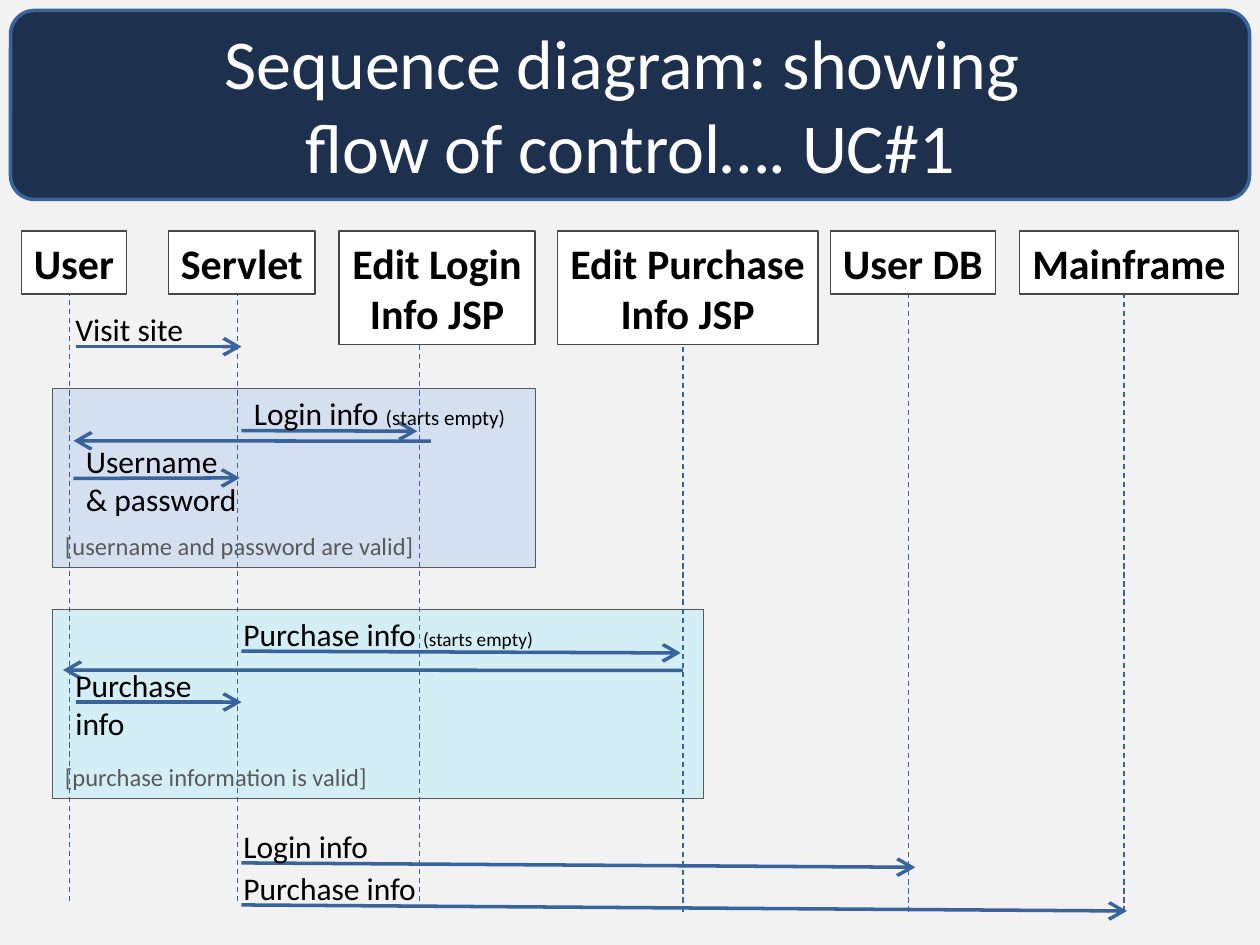
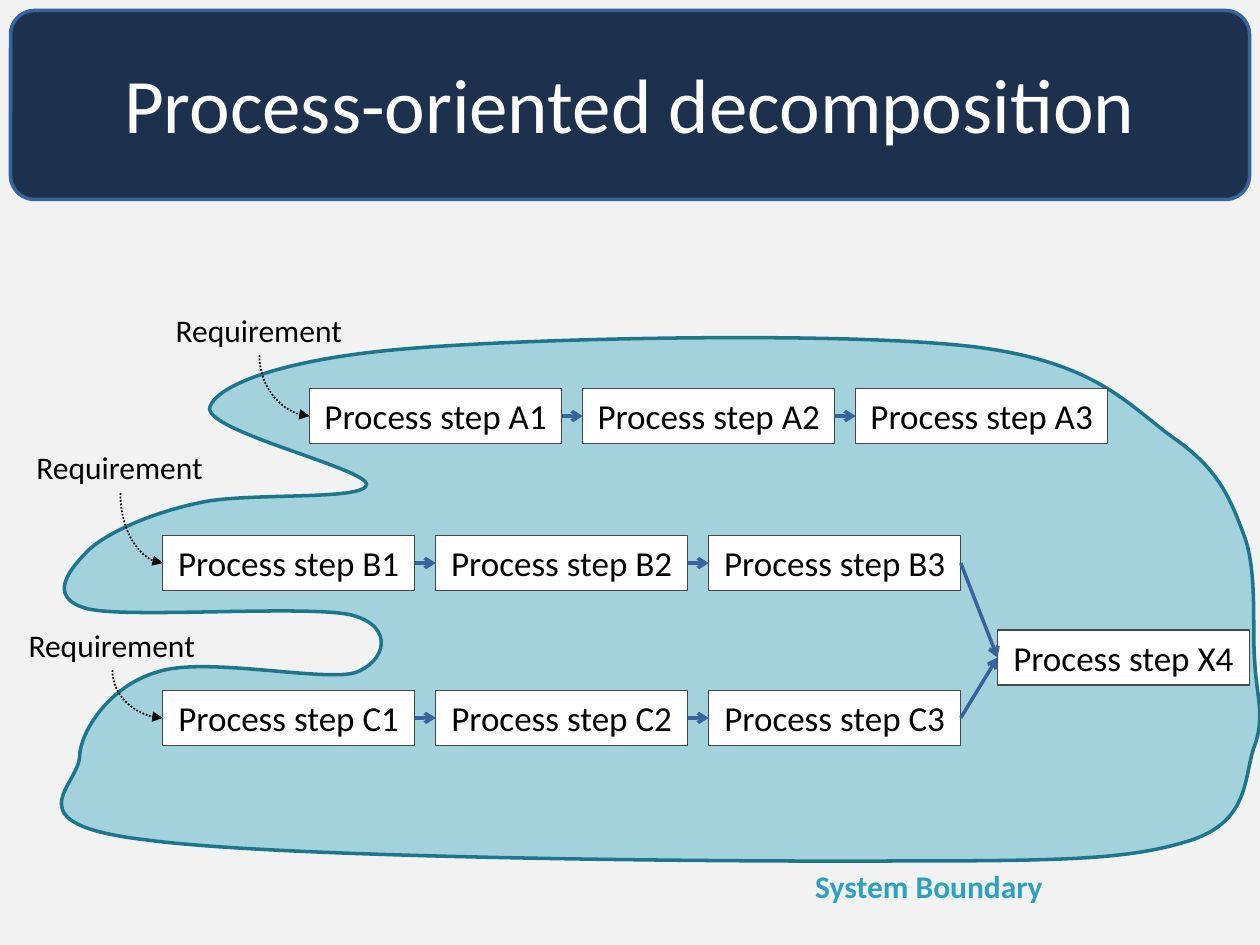
from lxml.etree import SubElement
from pptx import Presentation
from pptx.dml.color import RGBColor
from pptx.enum.dml import MSO_LINE
from pptx.enum.shapes import MSO_CONNECTOR, MSO_SHAPE
from pptx.enum.text import MSO_ANCHOR, PP_ALIGN
from pptx.oxml.ns import qn
from pptx.util import Pt

# Shared style
FONT = "Calibri"
BACKGROUND, NAVY, BLUE = "F2F2F2", "1D314E", "39639D"
WHITE, BLACK, GREY, DARK_GREY = "FFFFFF", "000000", "595959", "464646"
TEAL, DARK_TEAL = "2DA2BF", "1E768C"
BAND, TITLE_BOX = (6, 6, 708, 108), (6, 6, 708, 105.75)

# Sequence diagram: (name, left, width, lifeline x, lifeline top)
HEADER_TOP, HEADER_LINE, LIFELINE_LENGTH = 132, 29, 360
PARTICIPANTS = [
    ("User", 12.25, 60, 39.6, 156),
    ("Servlet", 96.5, 83.5, 135.75, 156),
    ("Edit Login\nInfo JSP", 193.75, 112, 239.75, 156),
    ("Edit Purchase\nInfo JSP", 318.5, 149, 390.25, 162),
    ("User DB", 474.5, 94.25, 519, 162),
    ("Mainframe", 582.5, 125.25, 642.25, 162),
]
# (condition, box, fill)
FRAMES = [
    ("[username and password are valid]", (30, 222, 276, 102), "D4DFEF"),
    ("[purchase information is valid]", (30, 348, 372, 108), "D3EEF5"),
]
# (start, end) of replies without a label
REPLIES = [((246.25, 252.1), (42, 251.9)), ((390.25, 383.1), (36, 382.9))]
# (label, start, end, label left, label width, label height, small note, note size)
LABEL_RISE = 24.25
MESSAGES = [
    ("Visit site", (43.2, 198.1), (138, 198.1), 36, 102, 29, "", 0),
    ("Login info ", (138, 246.1), (238.5, 246.4), 138, 204, 29, "(starts empty)", 12),
    ("Username & password", (42, 273.4), (137, 273.1), 42, 102, 50.5, "", 0),
    ("Purchase info ", (138, 372.1), (389, 373.1), 132, 270, 29, "(starts empty)", 11),
    ("Purchase\ninfo", (43.2, 401.2), (138, 401.2), 36, 114, 50.5, "", 0),
    ("Login info", (138, 493.1), (523, 495.6), 132, 414, 29, "", 0),
    ("Purchase info", (138, 517.1), (644, 520.6), 132, 528, 29, "", 0),
]

# Process chains: (row letter, first box left, top, requirement left, requirement top)
STEP_WIDTH, STEP_HEIGHT, STEP_GAP, STEPS = 144, 31.5, 12, 3
REQUIREMENT_WIDTH, REQUIREMENT_HEIGHT = 110, 29
CHAINS = [
    ("A", 177, 222, 93.25, 174),
    ("B", 93, 306, 13.75, 252.75),
    ("C", 93, 394.5, 9.25, 354),
]
JOINING_CHAINS = "BC"
FINAL_STEP = (570, 360)
# System boundary: start, then (control, control, end) of each curve
BOUNDARY_START = (236, 199)
BOUNDARY_CURVES = [
    ((309, 193), (482, 189.5), (555, 198)),
    ((627, 206.5), (645, 232), (671, 250.5)),
    ((697, 268.5), (703.5, 286), (711.5, 307.5)),
    ((718.5, 328.5), (715.5, 358.5), (717, 378)),
    ((718, 398), (723, 409), (717, 426)),
    ((710.5, 443), (715, 468.5), (681, 480)),
    ((646.5, 491), (612, 492), (512.5, 492)),
    ((413.5, 492.5), (162, 490.5), (84, 480)),
    ((6, 471), (44.5, 449.5), (45.5, 432.5)),
    ((46, 417), (63.5, 391.5), (90, 384)),
    ((116, 375), (183.5, 389.5), (202.5, 384.5)),
    ((220.5, 378.5), (226, 358), (201, 351.5)),
    ((175.5, 345.5), (75.5, 353.5), (50.5, 348)),
    ((25, 341.5), (41, 324), (51, 314)),
    ((62, 304), (87, 293), (113, 287.5)),
    ((139.5, 281), (208, 286.5), (209.5, 277)),
    ((211, 268), (115, 246), (120, 232.5)),
    ((124.5, 219.5), (164, 204.5), BOUNDARY_START),
]


def color(hex_string):
    return RGBColor.from_string(hex_string)


def write(shape, text, size=18, ink=BLACK, bold=False, align=PP_ALIGN.LEFT,
          anchor=MSO_ANCHOR.TOP, wrap=True, note="", note_size=0):
    frame = shape.text_frame
    frame.word_wrap = wrap
    frame.vertical_anchor = anchor
    paragraph = frame.paragraphs[0]
    paragraph.alignment = align

    def add_run(words, points):
        run = paragraph.add_run()
        run.text = words
        run.font.name, run.font.size, run.font.bold = FONT, Pt(points), bold
        run.font.color.rgb = color(ink)

    for index, line in enumerate(text.split("\n")):
        if index:
            paragraph.add_line_break()
        add_run(line, size)
    if note:
        add_run(note, note_size)


def add_label(slide, box, text, **text_format):
    shape = slide.shapes.add_textbox(*map(Pt, box))
    write(shape, text, **text_format)


def paint(shape, fill, line, width):
    shape.shadow.inherit = False
    shape.fill.solid()
    shape.fill.fore_color.rgb = color(fill)
    shape.line.color.rgb = color(line)
    shape.line.width = Pt(width)


def add_box(slide, box, text, fill=WHITE, line=DARK_GREY, width=0.75, **text_format):
    shape = slide.shapes.add_shape(MSO_SHAPE.RECTANGLE, *map(Pt, box))
    paint(shape, fill, line, width)
    write(shape, text, **text_format)


def add_line(slide, start, end, ink=BLUE, width=2, dash=None, head="arrow",
             head_size="med", kind=MSO_CONNECTOR.STRAIGHT):
    connector = slide.shapes.add_connector(kind, *map(Pt, (*start, *end)))
    connector.line.color.rgb = color(ink)
    connector.line.width = Pt(width)
    if dash:
        connector.line.dash_style = dash
    if head:
        SubElement(connector.get_or_add_ln(), qn("a:tailEnd"), type=head,
                   w=head_size, len=head_size)
    SubElement(connector.element.spPr, qn("a:effectLst"))
    return connector


def add_bend(slide, start, end):
    """Dotted curve that leaves downwards and arrives from the left."""
    middle_x, middle_y = (start[0] + end[0]) / 2, (start[1] + end[1]) / 2
    half_x, half_y = (end[0] - start[0]) / 2, (end[1] - start[1]) / 2
    connector = add_line(
        slide, (middle_x + half_y, middle_y - half_x),
        (middle_x - half_y, middle_y + half_x), ink=BLACK, width=1,
        dash=MSO_LINE.ROUND_DOT, head="triangle", kind=MSO_CONNECTOR.CURVE)
    properties = connector.element.spPr
    properties.find(qn("a:xfrm")).set("rot", str(270 * 60000))
    properties.find(qn("a:prstGeom")).set("prst", "curvedConnector2")


def add_boundary(slide):
    points = [tuple(map(Pt, point)) for curve in BOUNDARY_CURVES for point in curve]
    builder = slide.shapes.build_freeform(*map(Pt, BOUNDARY_START))
    builder.add_line_segments(points)
    shape = builder.convert_to_shape()
    # Join every three line segments into one Bézier curve
    outline = next(shape.element.iter(qn("a:path")))
    lines = outline.findall(qn("a:lnTo"))
    for first, second, third in zip(lines[::3], lines[1::3], lines[2::3]):
        first.tag = qn("a:cubicBezTo")
        for line in (second, third):
            first.append(line[0])
            outline.remove(line)
    paint(shape, TEAL, DARK_TEAL, 2)
    fill_color = shape.element.spPr.find(qn("a:solidFill")).find(qn("a:srgbClr"))
    SubElement(fill_color, qn("a:alpha"), val="40000")


def add_slide(presentation, title, size):
    slide = presentation.slides.add_slide(presentation.slide_layouts[6])
    slide.background.fill.solid()
    slide.background.fill.fore_color.rgb = color(BACKGROUND)
    band = slide.shapes.add_shape(MSO_SHAPE.ROUNDED_RECTANGLE, *map(Pt, BAND))
    band.adjustments[0] = 0.127
    paint(band, NAVY, BLUE, 2)
    add_label(slide, TITLE_BOX, title, size=size, ink=WHITE,
              align=PP_ALIGN.CENTER, anchor=MSO_ANCHOR.MIDDLE)
    return slide


def build_sequence(presentation):
    slide = add_slide(presentation, "Sequence diagram: showing \nflow of control…. UC#1", 40)
    for condition, box, fill in FRAMES:
        add_box(slide, box, condition, fill=fill, line=GREY, width=0.25,
                size=14, ink=GREY, anchor=MSO_ANCHOR.BOTTOM)
    # Lifelines run behind the headers
    for name, left, width, x, top in PARTICIPANTS:
        add_line(slide, (x, top), (x, top + LIFELINE_LENGTH), width=0.75,
                 dash=MSO_LINE.DASH, head=None)
        height = 7 + HEADER_LINE * (name.count("\n") + 1)
        add_box(slide, (left, HEADER_TOP, width, height), name, size=24,
                bold=True, align=PP_ALIGN.CENTER, wrap=False)
    # Messages and replies
    for start, end in REPLIES:
        add_line(slide, start, end, head_size="lg")
    for text, start, end, left, width, height, note, note_size in MESSAGES:
        add_line(slide, start, end, head_size="lg")
        add_label(slide, (left, start[1] - LABEL_RISE, width, height), text,
                  note=note, note_size=note_size)


def build_decomposition(presentation):
    slide = add_slide(presentation, "Process-oriented decomposition", 44)
    add_boundary(slide)

    def add_step(name, left, top):
        add_box(slide, (left, top, STEP_WIDTH, STEP_HEIGHT), f"Process step {name}",
                size=20, align=PP_ALIGN.CENTER)

    final_left, final_top = FINAL_STEP
    add_step("X4", final_left, final_top)
    for letter, first_left, top, need_left, need_top in CHAINS:
        middle = top + STEP_HEIGHT / 2
        # Requirement that starts the chain
        add_label(slide, (need_left, need_top, REQUIREMENT_WIDTH, REQUIREMENT_HEIGHT),
                  "Requirement", wrap=False)
        add_bend(slide, (need_left + REQUIREMENT_WIDTH / 2, need_top + REQUIREMENT_HEIGHT),
                 (first_left, middle))
        # Steps and the arrows between them
        for index in range(STEPS):
            left = first_left + index * (STEP_WIDTH + STEP_GAP)
            add_step(f"{letter}{index + 1}", left, top)
            right = left + STEP_WIDTH
            if index < STEPS - 1:
                add_line(slide, (right, middle), (right + STEP_GAP, middle))
            elif letter in JOINING_CHAINS:
                add_line(slide, (right, middle), (final_left, final_top + STEP_HEIGHT / 2))
    add_label(slide, (458.75, 492, 230, 29), "System Boundary", ink=TEAL, bold=True)


def main():
    presentation = Presentation()
    presentation.slide_width, presentation.slide_height = Pt(720), Pt(540)
    build_sequence(presentation)
    build_decomposition(presentation)
    presentation.save("out.pptx")


if __name__ == "__main__":
    main()
